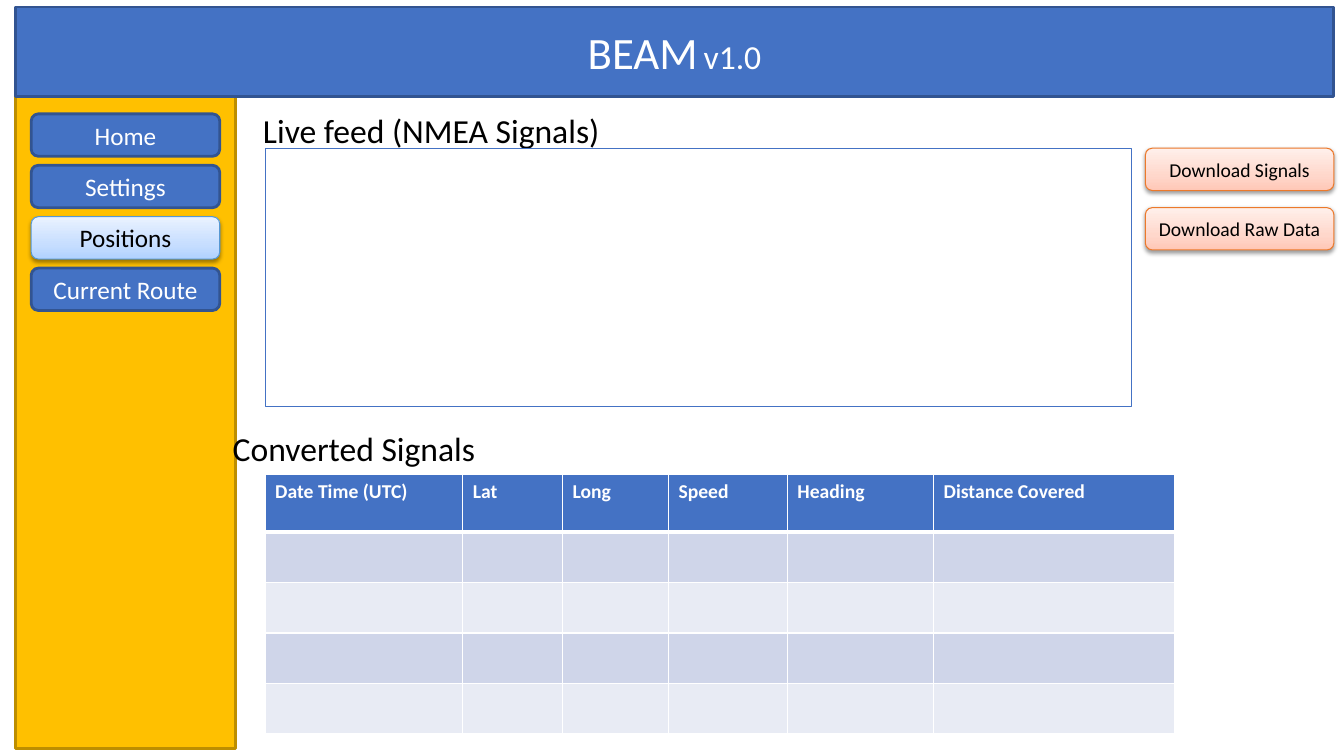
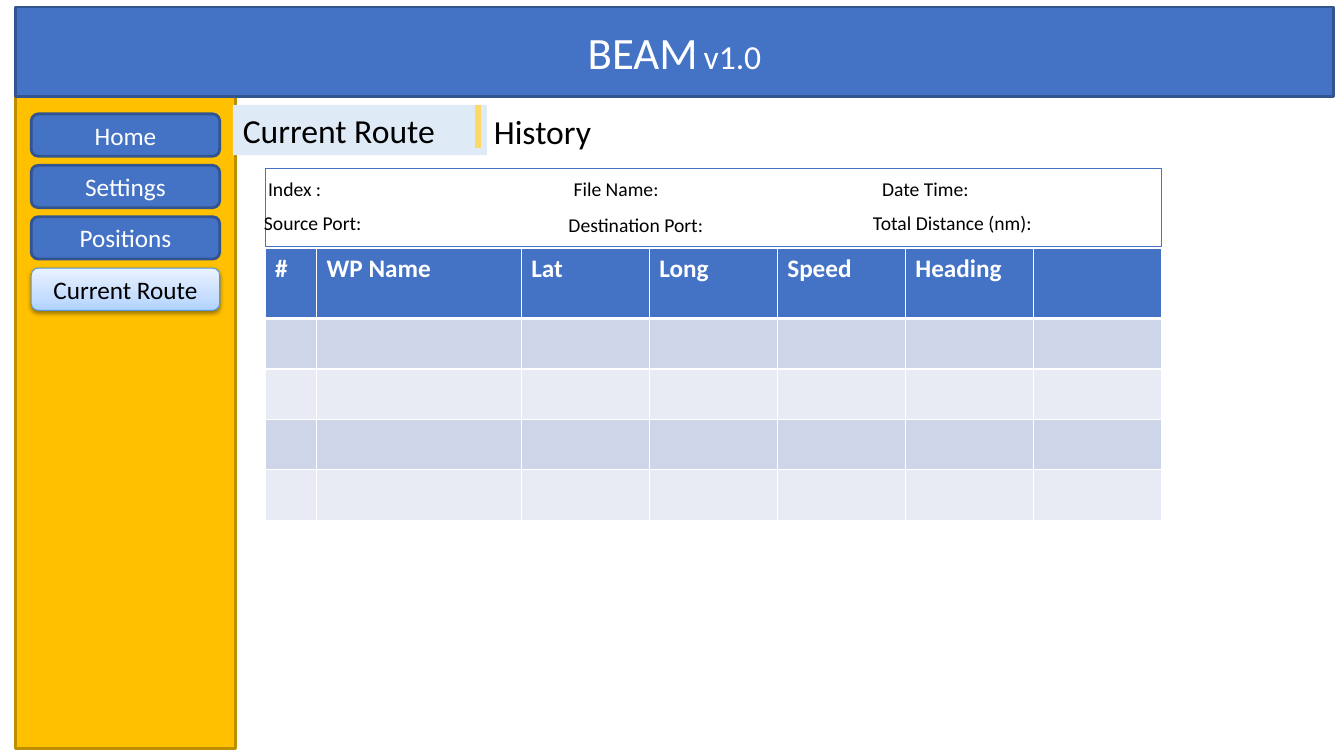
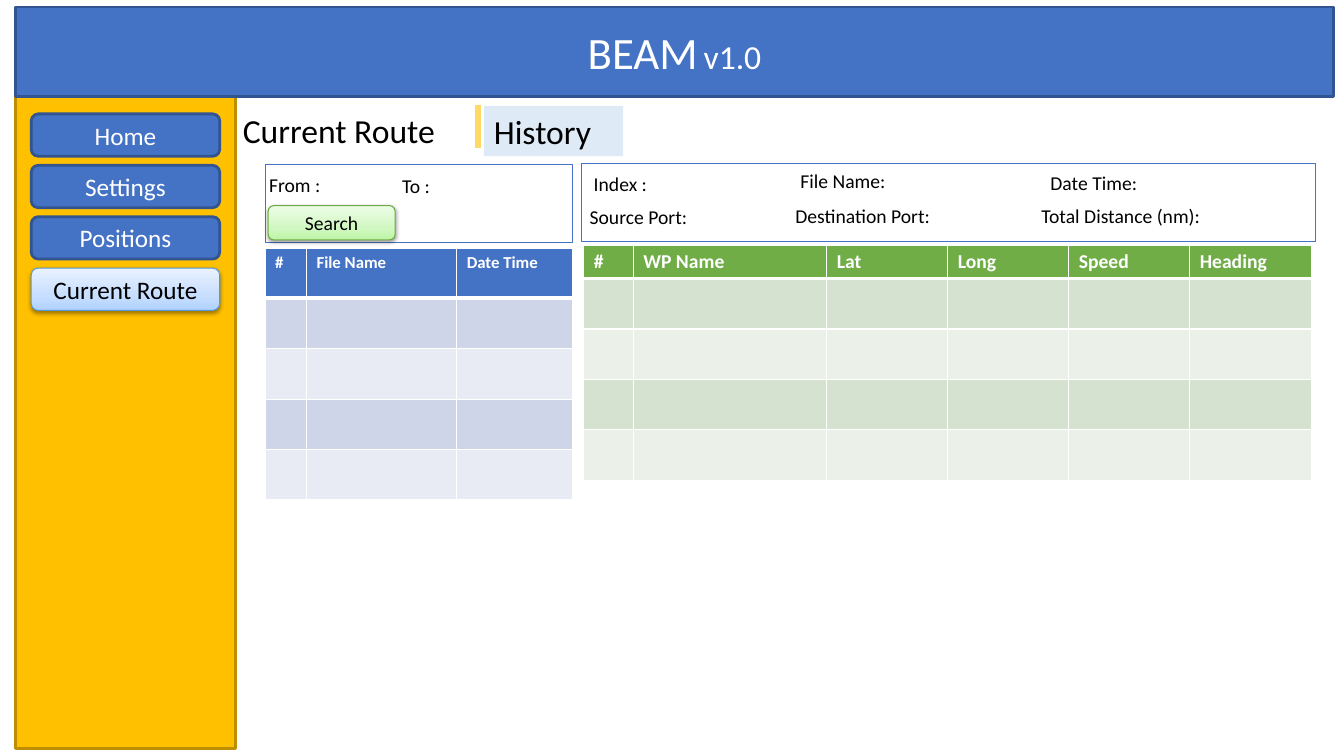
from dataclasses import dataclass

from pptx import Presentation
from pptx.dml.color import RGBColor
from pptx.enum import shapes, text
from pptx.oxml import parse_xml
from pptx.oxml.ns import nsdecls, qn
from pptx.util import Inches, Pt

COLORS = {
    "blue": "4472C4", "navy": "325491", "amber": "FFC000", "ochre": "BD8E00",
    "white": "FFFFFF", "black": "000000", "green": "70AD47",
    "tab": "DEEBF7", "divider": "FFD966",
    "blue_dark_row": "CFD5E9", "blue_light_row": "E8EBF4",
    "green_dark_row": "D4E2CF", "green_light_row": "EBF1E8",
    "sky_line": "5698D3", "sky_0": "B0D2FF", "sky_35": "C7DEFF", "sky_100": "EAF2FF",
    "coral_line": "EC792B", "coral_0": "FFC7B6", "coral_35": "FFD7CB", "coral_100": "FFF0EB",
    "lime_line": "6DAC43", "lime_0": "BEF5A7", "lime_35": "D1F7C2", "lime_100": "EDFDE7",
}
FONT = "Calibri"
PAGES = ("Home", "Settings", "Positions", "Current Route")
DETAILS = ("Index : ", "File Name:", "Date Time:",
           "Source Port: ", "Destination Port:", "Total Distance (nm):")
DETAIL_WIDTHS = (0.92, 1.23, 1.27, 1.44, 1.83, 2.16)


@dataclass(frozen=True)
class Box:
    left: float
    top: float
    width: float
    height: float

    def emu(self) -> tuple:
        return tuple(Inches(v) for v in (self.left, self.top, self.width, self.height))


@dataclass(frozen=True)
class Label:
    words: str
    box: Box
    size: float = 14
    highlight: bool = False
    wrap: bool = False


@dataclass(frozen=True)
class Button:
    words: str
    box: Box
    tint: str = ""
    size: float = 14


@dataclass(frozen=True)
class Grid:
    left: float
    top: float
    headings: tuple
    widths: tuple
    header_height: float
    size: float
    hue: str = "blue"


def rgb(name: str) -> RGBColor:
    return RGBColor.from_string(COLORS[name])


def style_run(run, size: float, color: str, bold: bool = False) -> None:
    run.font.name = FONT
    run.font.size = Pt(size)
    run.font.bold = bold
    run.font.color.rgb = rgb(color)


def outline(shape, color: str, width: float) -> None:
    shape.line.color.rgb = rgb(color)
    shape.line.width = Pt(width)


def paint(shape, fill: str, line: str, width: float) -> None:
    shape.fill.solid()
    shape.fill.fore_color.rgb = rgb(fill)
    outline(shape, line, width)


def glossy(shape, tint: str) -> None:
    stops = "".join(
        f'<a:gs pos="{stop * 1000}"><a:srgbClr val="{COLORS[f"{tint}_{stop}"]}"/></a:gs>'
        for stop in (0, 35, 100))
    gradient = parse_xml(
        f'<a:gradFill {nsdecls("a")} rotWithShape="1"><a:gsLst>{stops}</a:gsLst>'
        '<a:lin ang="16200000" scaled="0"/></a:gradFill>')
    properties = shape.element.spPr
    properties.find(qn("a:prstGeom")).addnext(gradient)
    outline(shape, f"{tint}_line", 0.75)
    properties.find(qn("a:effectLst")).append(parse_xml(
        f'<a:outerShdw {nsdecls("a")} blurRad="{Pt(3.1)}" dist="{Pt(1.6)}" dir="5400000" '
        f'rotWithShape="0"><a:srgbClr val="{COLORS["black"]}"><a:alpha val="38000"/>'
        '</a:srgbClr></a:outerShdw>'))


def add_panel(slide, box: Box):
    panel = slide.shapes.add_shape(shapes.MSO_SHAPE.RECTANGLE, *box.emu())
    panel.shadow.inherit = False
    panel.fill.background()
    outline(panel, "blue", 0.74)
    return panel


def add_label(slide, label: Label) -> None:
    caption = slide.shapes.add_textbox(*label.box.emu())
    if label.highlight:
        caption.fill.solid()
        caption.fill.fore_color.rgb = rgb("tab")
    frame = caption.text_frame
    frame.word_wrap = label.wrap
    frame.text = label.words
    style_run(frame.paragraphs[0].runs[0], label.size, "black")


def add_button(slide, button: Button) -> None:
    key = slide.shapes.add_shape(shapes.MSO_SHAPE.ROUNDED_RECTANGLE, *button.box.emu())
    key.shadow.inherit = False
    if button.tint:
        glossy(key, button.tint)
    else:
        paint(key, "blue", "navy", 2)
    frame = key.text_frame
    frame.vertical_anchor = text.MSO_ANCHOR.MIDDLE
    frame.text = button.words
    frame.paragraphs[0].alignment = text.PP_ALIGN.CENTER
    style_run(frame.paragraphs[0].runs[0], button.size, "black" if button.tint else "white")


def border(cell, row: int) -> None:
    edges = {"L": 0.96, "R": 0.96, "T": 3 if row == 1 else 0.96, "B": 3 if row == 0 else 0.96}
    properties = cell._tc.get_or_add_tcPr()
    for side, width in edges.items():
        properties.append(parse_xml(
            f'<a:ln{side} {nsdecls("a")} w="{Pt(width)}"><a:solidFill>'
            f'<a:srgbClr val="{COLORS["white"]}"/></a:solidFill></a:ln{side}>'))


def add_grid(slide, grid: Grid) -> None:
    heights = (grid.header_height, 0.5, 0.5, 0.5, 0.5)
    area = Box(grid.left, grid.top, sum(grid.widths), sum(heights))
    table = slide.shapes.add_table(len(heights), len(grid.widths), *area.emu()).table
    for column, width in zip(table.columns, grid.widths):
        column.width = Inches(width)
    for index, height in enumerate(heights):
        table.rows[index].height = Inches(height)
        band = "dark" if index % 2 else "light"
        fill = f"{grid.hue}_{band}_row" if index else grid.hue
        for cell in table.rows[index].cells:
            border(cell, index)
            cell.fill.solid()
            cell.fill.fore_color.rgb = rgb(fill)
    for cell, heading in zip(table.rows[0].cells, grid.headings):
        cell.text = heading
        for run in cell.text_frame.paragraphs[0].runs:
            style_run(run, grid.size, "white", bold=True)


def add_page(deck, current: str):
    slide = deck.slides.add_slide(deck.slide_layouts[5])
    sidebar = slide.shapes.add_shape(
        shapes.MSO_SHAPE.RECTANGLE, *Box(0.15, 0.96, 2.19, 6.47).emu())
    sidebar.shadow.inherit = False
    paint(sidebar, "amber", "ochre", 2)

    banner = slide.shapes.title
    sidebar.element.addnext(banner.element)
    banner.left, banner.top, banner.width, banner.height = Box(0.15, 0.07, 13.08, 0.89).emu()
    paint(banner, "blue", "navy", 2)
    frame = banner.text_frame
    frame.auto_size = text.MSO_AUTO_SIZE.NONE
    frame.vertical_anchor = text.MSO_ANCHOR.MIDDLE
    heading = frame.paragraphs[0]
    heading.alignment = text.PP_ALIGN.CENTER
    for words, size in (("BEAM", 32), (" ", 18), ("v1.0", 24)):
        run = heading.add_run()
        run.text = words
        style_run(run, size, "white")

    for index, page in enumerate(PAGES):
        place = Box(0.31, 1.13 + 0.51 * index, 1.87, 0.42)
        add_button(slide, Button(page, place, "sky" if page == current else "", 18))
    return slide


def add_tabs(slide, active: str) -> None:
    add_label(slide, Label("Current Route", Box(2.31, 1.04, 2.52, 0.5), 24,
                           active == "Current Route"))
    divider = slide.shapes.add_connector(
        shapes.MSO_CONNECTOR.STRAIGHT, Inches(4.74), Inches(1.04), Inches(4.74), Inches(1.47))
    outline(divider, "divider", 4.51)
    divider.element.spPr.append(parse_xml(f'<a:effectLst {nsdecls("a")}/>'))
    add_label(slide, Label("History", Box(4.8, 1.05, 1.38, 0.5), 24, active == "History"))


def add_details(slide, panel: Box, corners: tuple) -> None:
    add_panel(slide, panel)
    for words, width, (left, top) in zip(DETAILS, DETAIL_WIDTHS, corners):
        add_label(slide, Label(words, Box(left, top, width, 0.33)))


def build_positions(deck) -> None:
    slide = add_page(deck, "Positions")
    add_label(slide, Label("Live feed (NMEA Signals)", Box(2.51, 1.04, 3.89, 0.9), 24, wrap=True))
    add_panel(slide, Box(2.63, 1.47, 8.59, 2.56))
    add_label(slide, Label("Converted Signals", Box(2.21, 4.2, 3.24, 0.5), 24))
    for index, words in enumerate(("Download Signals", "Download Raw Data")):
        add_button(slide, Button(words, Box(11.36, 1.47 + 0.59 * index, 1.87, 0.42), "coral"))
    add_grid(slide, Grid(
        2.63, 4.71,
        ("Date Time (UTC)", "Lat", "Long", "Speed", "Heading", "Distance Covered"),
        (1.96, 0.99, 1.05, 1.18, 1.45, 2.39), 0.57, 14))


def build_current_route(deck) -> None:
    slide = add_page(deck, "Current Route")
    add_tabs(slide, "Current Route")
    add_details(slide, Box(2.63, 1.67, 8.89, 0.78),
                ((2.56, 1.71), (5.59, 1.71), (8.65, 1.71),
                 (2.52, 2.04), (5.54, 2.06), (8.56, 2.04)))
    add_grid(slide, Grid(
        2.63, 2.46, ("#", "WP Name", "Lat", "Long", "Speed", "Heading"),
        (0.51, 2.03) + (1.27,) * 5, 0.7, 18))


def build_history(deck) -> None:
    slide = add_page(deck, "Current Route")
    add_tabs(slide, "History")
    add_panel(slide, Box(2.63, 1.63, 3.05, 0.78))
    add_label(slide, Label("From : ", Box(2.57, 1.67, 0.87, 0.33)))
    add_label(slide, Label("To : ", Box(3.89, 1.68, 0.59, 0.33)))
    add_button(slide, Button("Search", Box(2.66, 2.04, 1.26, 0.34), "lime"))
    add_grid(slide, Grid(
        2.63, 2.46, ("#", "File Name", "Date Time"), (0.41, 1.49, 1.15), 0.5, 12))
    add_grid(slide, Grid(
        5.79, 2.43, ("#", "WP Name", "Lat", "Long", "Speed", "Heading"),
        (0.49, 1.92, 1.2, 1.2, 1.2, 1.21), 0.33, 14, "green"))
    add_details(slide, Box(5.77, 1.62, 7.28, 0.78),
                ((5.79, 1.66), (7.84, 1.63), (10.32, 1.65),
                 (5.75, 1.98), (7.79, 1.97), (10.23, 1.97)))


def main() -> None:
    deck = Presentation()
    deck.slide_width, deck.slide_height = Inches(13.33), Inches(7.5)
    build_positions(deck)
    build_current_route(deck)
    build_history(deck)
    deck.save("out.pptx")


main()
